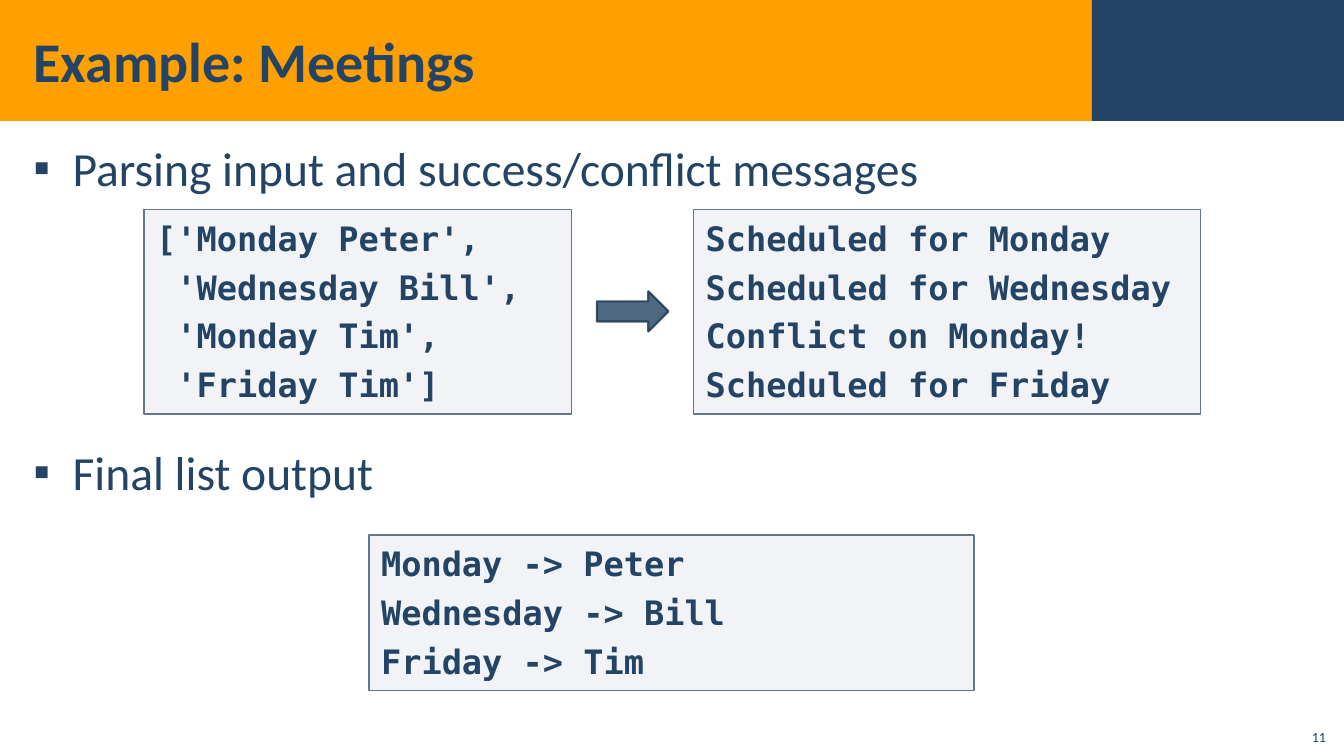
import pptx
import pptx.util
import pptx.dml.color
import pptx.enum.shapes
import pptx.enum.text
import pptx.oxml
import pptx.oxml.ns
from lxml import etree

Inches, Pt = pptx.util.Inches, pptx.util.Pt
RGB = pptx.dml.color.RGBColor
SHAPE = pptx.enum.shapes.MSO_SHAPE
ANCHOR = pptx.enum.text.MSO_ANCHOR
ALIGN = pptx.enum.text.PP_ALIGN
qn = pptx.oxml.ns.qn

# Content
TITLE = "Example: Meetings"
PAGE_NUMBER = "11"
BULLETS = [  # text, points of space before
    ("Parsing input and success/conflict messages", 6),
    ("Final list output", 168),
]
CODE_BOXES = [  # left, top, width, lines
    (1.43, 2.08, 4.24, ["['Monday Peter',", " 'Wednesday Bill',",
                        " 'Monday Tim',", " 'Friday Tim']"]),
    (6.88, 2.08, 5.03, ["Scheduled for Monday", "Scheduled for Wednesday",
                        "Conflict on Monday!", "Scheduled for Friday"]),
    (3.66, 5.31, 6, ["Monday -> Peter", "Wednesday -> Bill", "Friday -> Tim"]),
]

# Look
NAVY = RGB(0x23, 0x44, 0x65)
ORANGE = RGB(0xFF, 0xA0, 0x00)
GREY = RGB(0xAD, 0xB4, 0xC3)
SLATE = RGB(0x67, 0x74, 0x8E)
DARK = RGB(0x1A, 0x33, 0x4C)
TEXT_FONT, CODE_FONT = "Calibri", "DejaVu Sans Mono"
WIDTH, HEIGHT = 13.33, 7.5
BAND_HEIGHT, BAND_SPLIT = 1.2, 10.83
LEFT = 0.21
CODE_ROW, CODE_EXTRA = 0.49, 0.07


def set_opacity(fill_or_line, percent):
    color = fill_or_line.fore_color if hasattr(fill_or_line, "fore_color") else fill_or_line.color
    node = color._xFill.find(qn("a:srgbClr"))
    etree.SubElement(node, qn("a:alpha")).set("val", str(percent * 1000))


def add_block(kind, left, top, width, height, fill, opacity=100, line=None, line_width=1):
    block = page.shapes.add_shape(kind, *map(Inches, (left, top, width, height)))
    block.shadow.inherit = False
    block.fill.solid()
    block.fill.fore_color.rgb = fill
    if opacity < 100:
        set_opacity(block.fill, opacity)
    if line is None:
        block.line.fill.background()
    else:
        block.line.color.rgb = line
        block.line.width = Pt(line_width)
    return block


def set_frame(frame, anchor, side, edge):
    frame.word_wrap = True
    frame.auto_size = pptx.enum.text.MSO_AUTO_SIZE.NONE
    frame.vertical_anchor = anchor
    frame.margin_left = frame.margin_right = Inches(side)
    frame.margin_top = frame.margin_bottom = Inches(edge)


def write(para, text, size, font=TEXT_FONT, bold=False, align=ALIGN.LEFT):
    para.text = text
    para.alignment = align
    para.font.size = Pt(size)
    para.font.name = font
    para.font.bold = bold
    para.font.color.rgb = NAVY


def add_paragraphs(frame, count):
    return [frame.paragraphs[0]] + [frame.add_paragraph() for _ in range(count - 1)]


deck = pptx.Presentation()
deck.slide_width, deck.slide_height = Inches(WIDTH), Inches(HEIGHT)
page = deck.slides.add_slide(deck.slide_layouts[5])

# Header band
add_block(SHAPE.RECTANGLE, 0, 0, WIDTH, BAND_HEIGHT, ORANGE)
add_block(SHAPE.RECTANGLE, BAND_SPLIT, 0, WIDTH - BAND_SPLIT, BAND_HEIGHT, NAVY)

# Title, brought in front of the band
title = page.shapes.title
title.left, title.top, title.width, title.height = map(Inches, (LEFT, 0.11, 10.63, 0.97))
set_frame(title.text_frame, ANCHOR.MIDDLE, 0.12, 0.04)
write(title.text_frame.paragraphs[0], TITLE, 40, bold=True)
title.element.getparent().append(title.element)

# Bullets
body = page.shapes.add_textbox(*map(Inches, (LEFT, 1.31, 12.92, 6.05)))
set_frame(body.text_frame, ANCHOR.TOP, 0.12, 0.04)
for para, (text, before) in zip(add_paragraphs(body.text_frame, len(BULLETS)), BULLETS):
    write(para, text, 34)
    para.line_spacing = 1.05
    para.space_before, para.space_after = Pt(before), Pt(6)
    props = para._p.get_or_add_pPr()
    props.set("marL", str(Inches(0.39)))
    props.set("indent", str(-Inches(0.39)))
    etree.SubElement(props, qn("a:buFont")).set("typeface", "Arial")
    etree.SubElement(props, qn("a:buChar")).set("char", "▪")
    props.append(props.find(qn("a:defRPr")))  # schema order: bullet first

# Code boxes
for left, top, width, lines in CODE_BOXES:
    box = add_block(SHAPE.RECTANGLE, left, top, width,
                    CODE_ROW * len(lines) + CODE_EXTRA, GREY, 15, SLATE)
    set_frame(box.text_frame, ANCHOR.TOP, 0.12, 0.08)
    for para, text in zip(add_paragraphs(box.text_frame, len(lines)), lines):
        write(para, text, 24, CODE_FONT, bold=True)
        para.space_before = Pt(6)

# Arrow from input to messages
arrow = add_block(SHAPE.RIGHT_ARROW, 5.92, 2.89, 0.71, 0.4, NAVY, 80, DARK, 1.5)
set_opacity(arrow.line, 80)

# Page number
number = page.shapes.add_textbox(*map(Inches, (12.85, 7.12, 0.4, 0.32)))
set_frame(number.text_frame, ANCHOR.BOTTOM, 0.1, 0.05)
write(number.text_frame.paragraphs[0], PAGE_NUMBER, 10, align=ALIGN.RIGHT)

deck.save("out.pptx")
